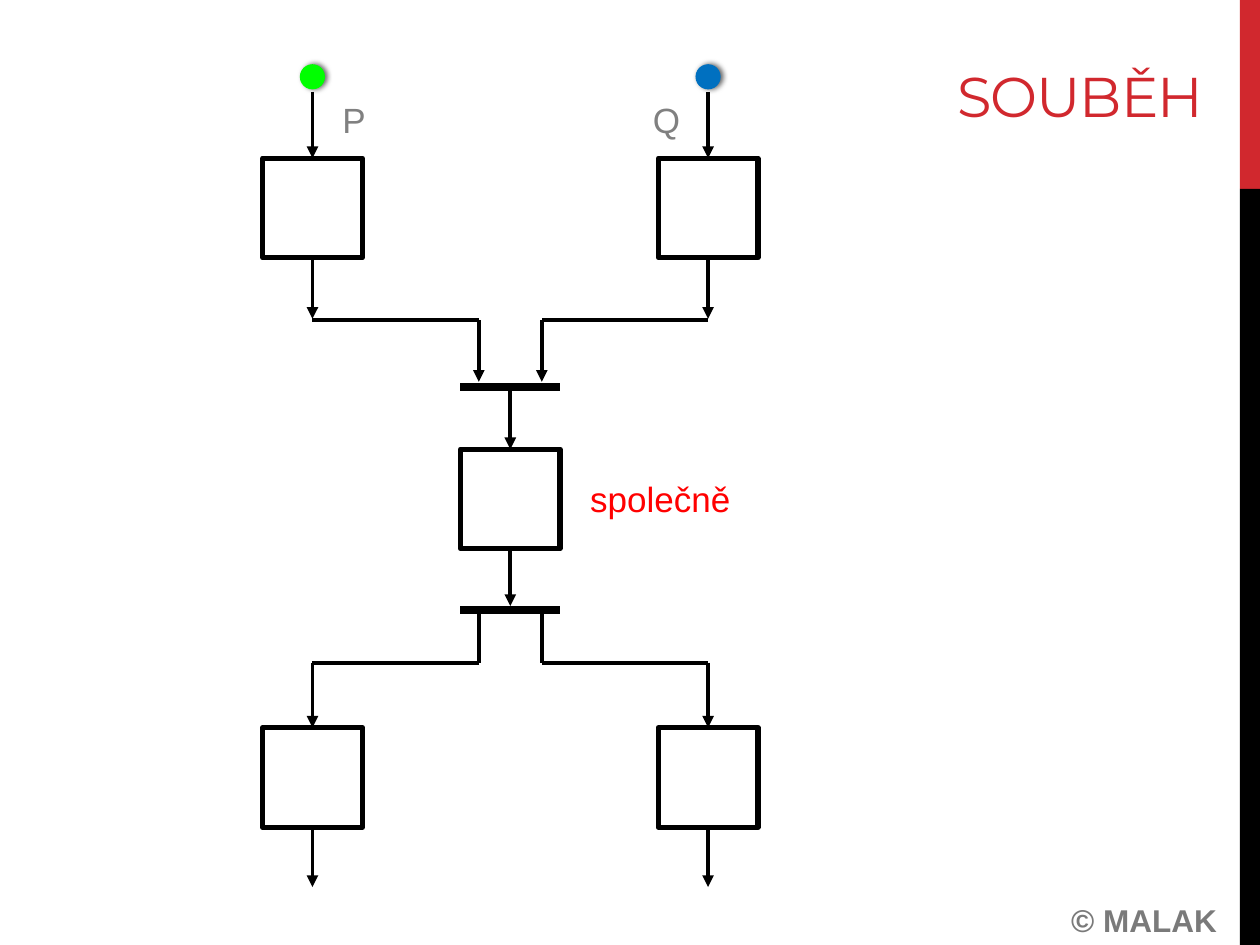
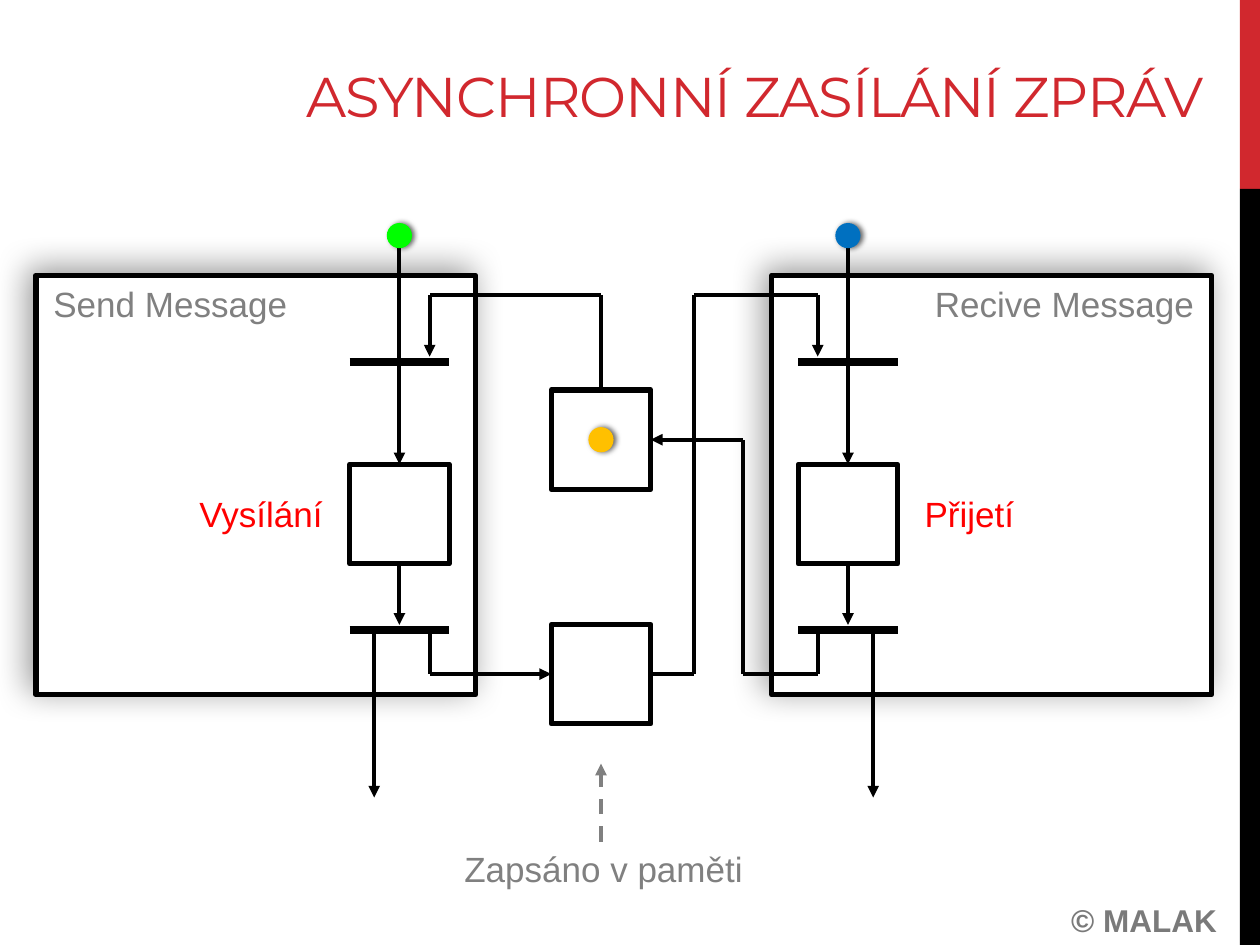
from lxml import etree
from pptx import Presentation
from pptx.dml.color import RGBColor
from pptx.enum import dml, shapes, text
from pptx.oxml import ns
from pptx.util import Inches, Pt

COLORS = {
    "red": "D1282E", "black": "000000", "white": "FFFFFF", "gray": "808080",
    "mark": "FF0000", "green": "00FF00", "blue": "0070C0", "gold": "FFC000",
    "foot": "7A7A7A",
}
ALIGN = {"l": text.PP_ALIGN.LEFT, "c": text.PP_ALIGN.CENTER, "r": text.PP_ALIGN.RIGHT}
TOP, LEFT, BOTTOM, RIGHT = range(4)
BOX, DOT = 0.79, 0.2


def rgb(name):
    return RGBColor.from_string(COLORS[name])


def write(shape, words, size=20, color="gray", font="Arial", bold=False,
          align="c", track=None):
    frame = shape.text_frame
    frame.word_wrap = True
    para = frame.paragraphs[0]
    para.alignment = ALIGN[align]
    run = para.add_run()
    run.text = words
    run.font.size, run.font.name, run.font.bold = Pt(size), font, bold
    run.font.color.rgb = rgb(color)
    if track is not None:
        run.font._element.set("spc", str(track))


def label(slide, mid, top, width, words, height=0.44, **style):
    """Place text centred on the x position mid."""
    area = slide.shapes.add_textbox(
        Inches(mid - width / 2), Inches(top), Inches(width), Inches(height))
    write(area, words, **style)
    area.text_frame.auto_size = text.MSO_AUTO_SIZE.SHAPE_TO_FIT_TEXT


def shade(shape, alpha, blur, dist, angle):
    effects = shape.element.spPr.find(ns.qn("a:effectLst"))
    outer = etree.SubElement(
        effects, ns.qn("a:outerShdw"), blurRad=str(Pt(blur)), dist=str(Pt(dist)),
        dir=str(angle * 60000), algn="ctr", rotWithShape="0")
    tint = etree.SubElement(outer, ns.qn("a:srgbClr"), val=COLORS["black"])
    etree.SubElement(tint, ns.qn("a:alpha"), val=str(alpha * 1000))


def plain(slide, kind, x, y, wide, high, fill, edge=None):
    """Draw a preset shape with its centre at x, y."""
    shape = slide.shapes.add_shape(
        kind, Inches(x - wide / 2), Inches(y - high / 2), Inches(wide), Inches(high))
    shape.shadow.inherit = False
    shape.fill.solid()
    shape.fill.fore_color.rgb = rgb(fill)
    if edge:
        shape.line.color.rgb = rgb("black")
        shape.line.width = Pt(edge)
    else:
        shape.line.fill.background()
    return shape


def rect(slide, x, y, wide=BOX, high=BOX, fill="white", edge=3):
    return plain(slide, shapes.MSO_SHAPE.RECTANGLE, x, y, wide, high, fill, edge)


def token(slide, x, y, color):
    dot = plain(slide, shapes.MSO_SHAPE.OVAL, x, y, DOT, DOT, color)
    shade(dot, 60, 3, 1.5, 0)


def line(slide, start, end, width=2.25, color="black", arrow=False, dash=False):
    link = slide.shapes.add_connector(
        shapes.MSO_CONNECTOR.STRAIGHT, *map(Inches, (*start, *end)))
    link.line.color.rgb = rgb(color)
    link.line.width = Pt(width)
    if dash:
        link.line.dash_style = dml.MSO_LINE.DASH
    props = link.element.spPr
    if arrow:
        etree.SubElement(props.find(ns.qn("a:ln")), ns.qn("a:tailEnd"), type="triangle")
    etree.SubElement(props, ns.qn("a:effectLst"))
    return link


def route(slide, *points, begin=None, end=None, arrow=True):
    """Join points by straight lines; begin and end are (shape, side)."""
    last = len(points) - 2
    links = [line(slide, a, b, arrow=arrow and i == last)
             for i, (a, b) in enumerate(zip(points, points[1:]))]
    if begin:
        links[0].begin_connect(*begin)
    if end:
        links[-1].end_connect(*end)


def bar(slide, x, y):
    line(slide, (x - BOX / 2, y), (x + BOX / 2, y), width=4.5)


def bands(deck, slide):
    """Put the right-hand bands on the master."""
    tree = deck.slide_master.shapes.element
    for i, (y, high, fill) in enumerate([(0.75, 1.5, "red"), (4.5, 6, "black")]):
        band = rect(slide, 9.92, y, 0.16, high, fill, None)
        band.name = f"Band {i + 1}"
        band.element.nvSpPr.cNvPr.set("id", str(20 + i))
        tree.insert(2 + i, band.element)


def page(deck, title):
    slide = deck.slides.add_slide(deck.slide_layouts[5])
    head = slide.shapes.title
    head.left, head.top, head.width, head.height = map(Inches, (0.32, 0.17, 9.33, 1.17))
    write(head, title, size=32, color="red", font="Montserrat", align="r", track=-60)
    head.text_frame.vertical_anchor = text.MSO_ANCHOR.MIDDLE
    head.text_frame.auto_size = text.MSO_AUTO_SIZE.NONE
    label(slide, 9.08, 7.1, 1.54, "© MALAK", height=0.4, size=18, color="foot", bold=True)
    return slide


def meet(slide):
    """Two processes meet, run one shared step and part again."""
    axis = 4.05
    core = rect(slide, axis, 3.96)
    for y in (3.07, 4.84):
        bar(slide, axis, y)
    route(slide, (axis, 3.07), (axis, 3.57), end=(core, TOP))
    route(slide, (axis, 4.36), (axis, 4.81), begin=(core, BOTTOM))
    label(slide, 5.24, 3.74, 1.55, "společně", color="mark")

    for side, name, color in [(-1, "P", "green"), (1, "Q", "blue")]:
        lane, inner = axis + side * 1.57, axis + side * 0.25
        first, final = rect(slide, lane, 1.65), rect(slide, lane, 6.17)
        route(slide, (lane, 0.73), (lane, 1.25), end=(first, TOP))
        route(slide, (lane, 2.04), (lane, 2.53), begin=(first, BOTTOM))
        route(slide, (lane, 2.54), (inner, 2.54), (inner, 3.03))
        route(slide, (inner, 4.86), (inner, 5.26), (lane, 5.26), (lane, 5.78),
              end=(final, TOP))
        route(slide, (lane, 6.57), (lane, 7.04), begin=(final, BOTTOM))
        token(slide, lane, 0.61, color)
        label(slide, axis + side * 1.24, 0.73, 0.65, name)


def send(slide):
    """Sender and receiver mirror each other around two memory cells."""
    axis, cell = 4.95, 4.77
    sides = [(-1, "green", "Send Message", "Vysílání", "l", "r"),
             (1, "blue", "Recive Message", "Přijetí", "r", "l")]
    for side, color, name, step, outer, near in sides:
        lane, leave = axis + side * 1.78, axis + side * 1.98
        panel = rect(slide, axis + side * 2.92, 3.85, 3.49, 3.33)
        shade(panel, 40, 19, 5, 225)
        work = rect(slide, lane, 4.08)
        for y in (2.87, 5):
            bar(slide, lane, y)
        route(slide, (lane, 1.97), (lane, 3.69), end=(work, TOP))
        route(slide, (lane, 4.47), (lane, 4.96), begin=(work, BOTTOM))
        route(slide, (leave, 5), (leave, 6.33))
        token(slide, lane, 1.87, color)
        label(slide, axis + side * 3.4, 2.19, 2.45, name, align=outer)
        label(slide, axis + side * 3.46, 3.86, 2.34, step, color="mark", align=near)

    # Memory cells and their paths
    free, full = rect(slide, cell, 3.49), rect(slide, cell, 5.35)
    west, east = axis - 1.54, axis + 1.54
    route(slide, (cell, 3.1), (cell, 2.34), (west, 2.34), (west, 2.83),
          begin=(free, TOP))
    route(slide, (west, 5.01), (west, 5.35), (4.37, 5.35), end=(full, LEFT))
    route(slide, (5.16, 5.35), (5.51, 5.35), (5.51, 2.34), (east, 2.34), (east, 2.83),
          begin=(full, RIGHT))
    route(slide, (east, 5.01), (east, 5.35), (5.9, 5.35), (5.9, 3.49), (5.16, 3.49),
          end=(free, RIGHT))
    token(slide, cell, 3.49, "gold")
    line(slide, (cell, 6.68), (cell, 6.06), color="gray", arrow=True, dash=True)
    label(slide, cell, 6.68, 2.45, "Zapsáno v paměti", align="r")


def main():
    deck = Presentation()
    deck.slide_width, deck.slide_height = Inches(10), Inches(7.5)
    first = page(deck, "SOUBĚH")
    bands(deck, first)
    meet(first)
    send(page(deck, "ASYNCHRONNÍ ZASÍLÁNÍ ZPRÁV"))
    deck.save("out.pptx")


if __name__ == "__main__":
    main()
